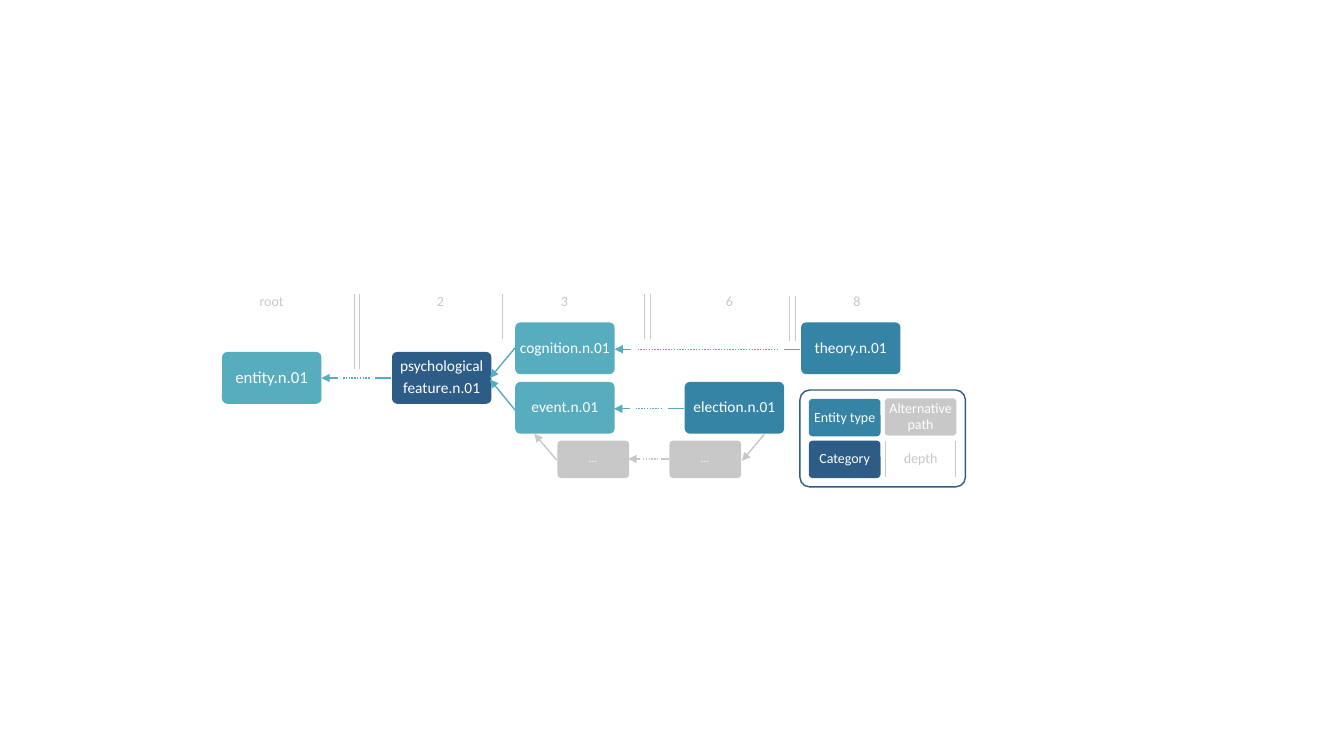
from dataclasses import dataclass
from typing import Optional

from lxml.etree import SubElement
from pptx import Presentation
from pptx.dml.color import RGBColor
from pptx.enum.dml import MSO_LINE
from pptx.enum.shapes import MSO_CONNECTOR, MSO_SHAPE
from pptx.enum.text import MSO_ANCHOR, PP_ALIGN
from pptx.oxml.ns import qn
from pptx.shapes.autoshape import Shape
from pptx.text.text import TextFrame
from pptx.util import Pt


@dataclass(frozen=True)
class Theme:
    font: str = "Calibri"
    teal: RGBColor = RGBColor(0x57, 0xAC, 0xBE)
    blue: RGBColor = RGBColor(0x35, 0x83, 0xA5)
    navy: RGBColor = RGBColor(0x2D, 0x5C, 0x87)
    grey: RGBColor = RGBColor(0xC8, 0xC8, 0xC8)
    white: RGBColor = RGBColor(0xFF, 0xFF, 0xFF)
    root_size: float = 12
    node_size: float = 11
    label_size: float = 10
    dots_size: float = 8
    arrow_width: float = 1
    divider_width: float = 0.5


THEME = Theme()


@dataclass(frozen=True)
class Node:
    text: str
    left: float
    top: float
    fill: Optional[RGBColor]
    size: float = THEME.node_size
    width: float = 71
    height: float = 37
    color: RGBColor = THEME.white


@dataclass(frozen=True)
class SmallNode(Node):
    size: float = THEME.label_size
    width: float = 51.2
    height: float = 26.7


@dataclass(frozen=True)
class Line:
    start_x: float
    start_y: float
    end_x: float
    end_y: float
    color: RGBColor = THEME.teal
    width: float = THEME.arrow_width
    arrow: bool = False
    dotted: bool = False


@dataclass(frozen=True)
class Chain:
    left: float
    right: float
    y: float
    color: RGBColor = THEME.teal
    head_length: float = 11.5
    tail_length: float = 11.5
    gap: float = 4


@dataclass(frozen=True)
class DepthLabel:
    text: str
    center: float


@dataclass(frozen=True)
class Divider:
    positions: tuple[float, ...]
    top: float
    bottom: float


NODES = [
    Node("entity.n.01", 158.6, 251.4, THEME.teal, THEME.root_size),
    Node("psychological\nfeature.n.01", 280, 251.4, THEME.navy),
    Node("cognition.n.01", 368, 230.3, THEME.teal),
    Node("theory.n.01", 572.2, 230.3, THEME.blue),
    Node("event.n.01", 368, 272.8, THEME.teal),
    Node("election.n.01", 489.1, 272.8, THEME.blue),
    SmallNode("…", 478.2, 314.8, THEME.grey, THEME.dots_size),
    SmallNode("…", 398.2, 314.8, THEME.grey, THEME.dots_size),
]
LEGEND = [
    SmallNode("Entity type", 577.8, 285, THEME.blue),
    SmallNode("Category", 577.8, 314.8, THEME.navy),
    SmallNode("Alternative path", 632, 284.5, THEME.grey),
    SmallNode("depth", 632, 314.8, None, color=THEME.grey),
]
CHAINS = [
    Chain(229.6, 279.6, 270),
    Chain(438.6, 488.8, 292),
    Chain(439, 571.8, 249.5, gap=5),
    Chain(448.8, 477.6, 327.8, THEME.grey, 8.5, 5.5, 2),
]
BRANCHES = [
    Line(368, 248.4, 350, 270, arrow=True),
    Line(368, 293, 350, 271, arrow=True),
    Line(546, 310.2, 530, 329.2, THEME.grey, arrow=True),
    Line(397.6, 328.6, 381.6, 309.8, THEME.grey, arrow=True),
]
DIVIDERS = [
    Divider((253, 257), 209.7, 263.5),
    Divider((358.8,), 209.7, 242.3),
    Divider((460.2, 464.5), 209.7, 242.3),
    Divider((563.9, 568.2), 211.5, 243.4),
    Divider((632.2, 682.6), 314.8, 340.7),
]
DEPTH_LABELS = [
    DepthLabel("root", 194),
    DepthLabel("2", 314.6),
    DepthLabel("3", 403.2),
    DepthLabel("6", 521),
    DepthLabel("8", 612),
]

presentation = Presentation()
presentation.slide_width = Pt(960)
presentation.slide_height = Pt(540)
slide = presentation.slides.add_slide(presentation.slide_layouts[6])


def write_text(frame: TextFrame, text: str, size: float, color: RGBColor) -> None:
    frame.word_wrap = True
    frame.text = text
    for paragraph in frame.paragraphs:
        paragraph.alignment = PP_ALIGN.CENTER
        for run in paragraph.runs:
            run.font.name = THEME.font
            run.font.size = Pt(size)
            run.font.color.rgb = color


def add_rounded(left: float, top: float, width: float, height: float, radius: float) -> Shape:
    shape = slide.shapes.add_shape(
        MSO_SHAPE.ROUNDED_RECTANGLE, Pt(left), Pt(top), Pt(width), Pt(height)
    )
    shape.adjustments[0] = radius
    shape.shadow.inherit = False
    shape.fill.background()
    shape.line.fill.background()
    return shape


def draw_node(node: Node) -> None:
    shape = add_rounded(node.left, node.top, node.width, node.height, 0.1)
    if node.fill is not None:
        shape.fill.solid()
        shape.fill.fore_color.rgb = node.fill
    frame = shape.text_frame
    frame.margin_left = frame.margin_right = Pt(1.5)
    frame.margin_top = frame.margin_bottom = Pt(1.5)
    frame.vertical_anchor = MSO_ANCHOR.MIDDLE
    write_text(frame, node.text, node.size, node.color)
    for paragraph in frame.paragraphs:
        paragraph.line_spacing = 0.9
        paragraph.space_after = Pt(0.35 * node.size)


def draw_line(line: Line) -> None:
    connector = slide.shapes.add_connector(
        MSO_CONNECTOR.STRAIGHT,
        Pt(line.start_x), Pt(line.start_y), Pt(line.end_x), Pt(line.end_y),
    )
    connector.line.color.rgb = line.color
    connector.line.width = Pt(line.width)
    if line.dotted:
        connector.line.dash_style = MSO_LINE.ROUND_DOT
    if line.arrow:
        SubElement(connector.line._get_or_add_ln(), qn("a:tailEnd"), type="triangle")
    SubElement(connector._element.spPr, qn("a:effectLst"))


def draw_chain(chain: Chain) -> None:
    y, color = chain.y, chain.color
    head = chain.left + chain.head_length
    tail = chain.right - chain.tail_length
    draw_line(Line(head, y, chain.left, y, color, arrow=True))
    draw_line(Line(head + chain.gap, y, tail - chain.gap, y, color, dotted=True))
    draw_line(Line(tail, y, chain.right, y, color))


def draw_divider(divider: Divider) -> None:
    for x in divider.positions:
        draw_line(Line(x, divider.top, x, divider.bottom, THEME.grey, THEME.divider_width))


def draw_depth_label(label: DepthLabel) -> None:
    width = 53.2
    box = slide.shapes.add_textbox(Pt(label.center - width / 2), Pt(205.4), Pt(width), Pt(19.4))
    write_text(box.text_frame, label.text, THEME.label_size, THEME.grey)


for node in NODES + LEGEND:
    draw_node(node)
for chain in CHAINS:
    draw_chain(chain)
for branch in BRANCHES:
    draw_line(branch)
for divider in DIVIDERS:
    draw_divider(divider)
for label in DEPTH_LABELS:
    draw_depth_label(label)

legend_frame = add_rounded(571.4, 278.6, 118.2, 69.2, 0.1)
legend_frame.line.color.rgb = THEME.navy
legend_frame.line.width = Pt(THEME.arrow_width)

presentation.save("out.pptx")
